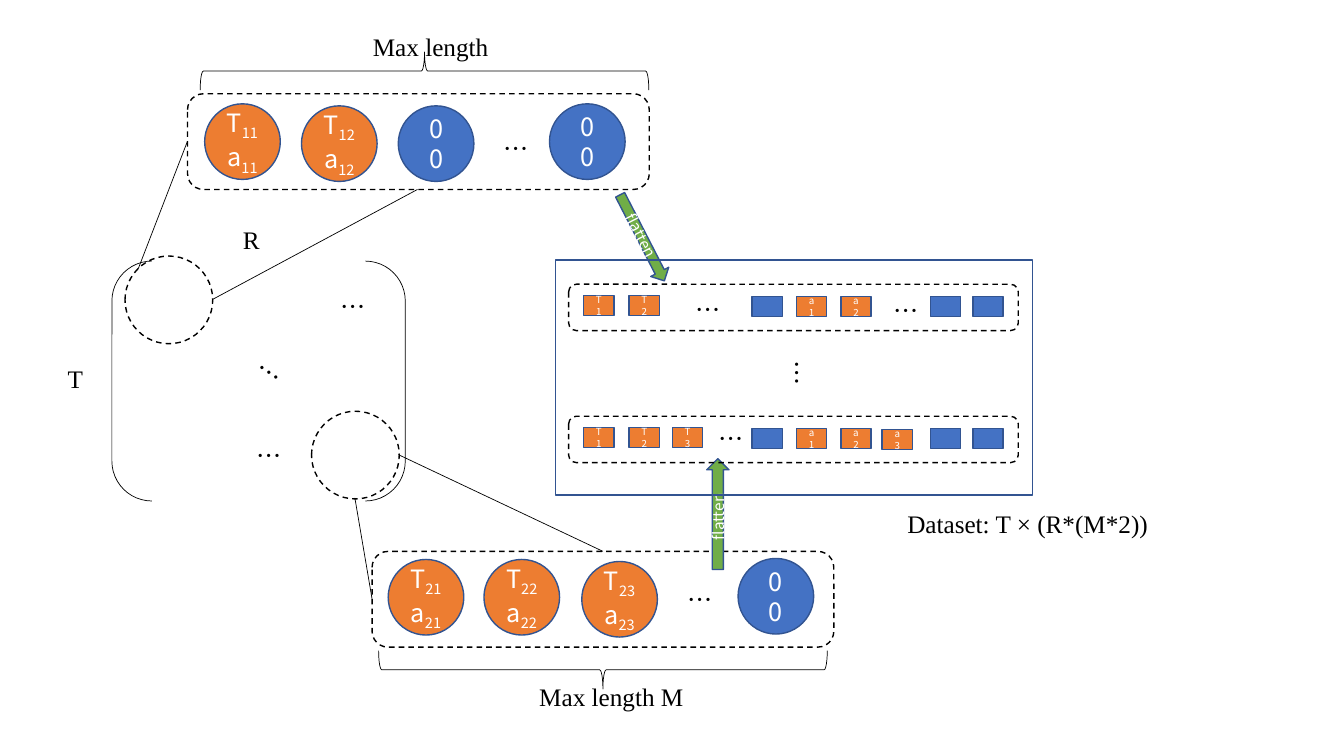
from lxml import etree
from pptx import Presentation
from pptx.dml.color import RGBColor
from pptx.enum.dml import MSO_LINE
from pptx.enum.shapes import MSO_CONNECTOR, MSO_SHAPE
from pptx.enum.text import MSO_ANCHOR, MSO_AUTO_SIZE, PP_ALIGN
from pptx.oxml.ns import qn
from pptx.util import Inches, Pt

OVAL, RECT, ROUNDED = MSO_SHAPE.OVAL, MSO_SHAPE.RECTANGLE, MSO_SHAPE.ROUNDED_RECTANGLE
ARROW, BRACE, BRACKETS = MSO_SHAPE.RIGHT_ARROW, MSO_SHAPE.LEFT_BRACE, MSO_SHAPE.DOUBLE_BRACKET
STRAIGHT, DASH = MSO_CONNECTOR.STRAIGHT, MSO_LINE.DASH
MIDDLE, CENTER, GROW = MSO_ANCHOR.MIDDLE, PP_ALIGN.CENTER, MSO_AUTO_SIZE.SHAPE_TO_FIT_TEXT
SERIF, SANS = "Times New Roman", "Noto Sans CJK SC"
ORANGE, BLUE, GREEN = "ED7D31", "4472C4", "70AD47"
OUTLINE, BLACK, WHITE = "325491", "000000", "FFFFFF"


def rgb(value):
    """Return a colour from a hex string."""
    return RGBColor.from_string(value)


def style_run(r, size, color, font=SANS):
    """Format one run for Latin and East Asian text."""
    r.font.size = Pt(size)
    r.font.color.rgb = rgb(color)
    r.font.name = font
    etree.SubElement(r.font._element, qn("a:ea")).set("typeface", font)


def add_label(s, text, x, y, w, font=SERIF, rotation=0):
    """Add a one-line text box."""
    sp = s.shapes.add_textbox(Inches(x), Inches(y), Inches(w), Inches(0.4))
    sp.rotation = rotation
    tf = sp.text_frame
    tf.word_wrap = True
    tf.auto_size = GROW
    tf.text = text
    style_run(tf.paragraphs[0].runs[0], 18, BLACK, font)


def add_dots(s, x, y, rotation=0):
    """Add an ellipsis label."""
    add_label(s, "…", x, y, 0.49, SANS, rotation)


def add_outline(s, kind, x, y, w, h, fill=None, line=BLACK, width=1, dash=None, rotation=0):
    """Add a preset shape with a line and an optional fill."""
    sp = s.shapes.add_shape(kind, Inches(x), Inches(y), Inches(w), Inches(h))
    sp.shadow.inherit = False
    sp.rotation = rotation
    if fill:
        sp.fill.solid()
        sp.fill.fore_color.rgb = rgb(fill)
    else:
        sp.fill.background()
    sp.line.color.rgb = rgb(line)
    sp.line.width = Pt(width)
    if dash:
        sp.line.dash_style = dash
    return sp


def add_filled(s, kind, x, y, w, h, fill, size, paragraphs, rotation=0):
    """Add a filled shape with centred white text; odd runs are subscripts."""
    sp = add_outline(s, kind, x, y, w, h, fill, OUTLINE, rotation=rotation)
    tf = sp.text_frame
    tf.vertical_anchor = MIDDLE
    for i, parts in enumerate(paragraphs):
        p = tf.add_paragraph() if i else tf.paragraphs[0]
        p.alignment = CENTER
        for j, part in enumerate(parts):
            r = p.add_run()
            r.text = part
            style_run(r, size, WHITE)
            if j % 2:
                r.font._element.set("baseline", "-25000")


def add_event(s, x, y, index=None):
    """Add a circle holding an indexed pair, or zero padding."""
    if index:
        add_filled(s, OVAL, x, y, 0.75, 0.75, ORANGE, 18, [["Τ", index + " ", "a", index]])
    else:
        add_filled(s, OVAL, x, y, 0.75, 0.75, BLUE, 18, [["0"], ["0"]])


def add_sequence(s, x, y, events, dots):
    """Add a dashed frame with its circles and ellipsis."""
    for event in events:
        add_event(s, *event)
    add_dots(s, *dots)
    add_outline(s, ROUNDED, x, y, 4.58, 0.95, dash=DASH)


def add_row(s, y, cells, dots):
    """Add a dashed dataset row with its cells and ellipses."""
    add_outline(s, ROUNDED, 5.64, y, 4.46, 0.46, dash=DASH)
    for text, x, dy in cells:
        fill = ORANGE if text else BLUE
        add_filled(s, RECT, x, y + dy, 0.3, 0.2, fill, 7, [[text]] if text else [])
    for x, dy in dots:
        add_dots(s, x, y + dy)


def add_line(s, x1, y1, x2, y2):
    """Add a thin straight line."""
    c = s.shapes.add_connector(STRAIGHT, Inches(x1), Inches(y1), Inches(x2), Inches(y2))
    c.line.color.rgb = rgb(BLACK)
    c.line.width = Pt(0.5)
    etree.SubElement(c._element.spPr, qn("a:effectLst"))


def add_matrix(s):
    """Add the bracketed T by R matrix."""
    add_label(s, "T", 0.67, 3.56, 0.05)
    add_label(s, "R", 2.31, 2.18, 0.5)
    add_outline(s, BRACKETS, 1.11, 2.59, 2.91, 2.38, width=0.5)
    add_dots(s, 2.45, 4.32)
    add_dots(s, 2.45, 3.51, 34.6)
    add_dots(s, 3.28, 2.84)
    for x, y in ((3.09, 4.08), (1.24, 2.54)):
        add_outline(s, OVAL, x, y, 0.87, 0.87, dash=DASH)


def add_sequences(s):
    """Add both padded sequences with braces and zoom lines."""
    add_sequence(s, 1.86, 0.93, [(2.03, 1.03, "11"), (2.99, 1.05, "12"),
                                 (3.95, 1.05), (5.45, 1.03)], (4.9, 1.27))
    add_sequence(s, 3.69, 5.47, [(3.85, 5.55, "21"), (4.8, 5.55, "22"),
                                 (5.77, 5.57, "23"), (7.32, 5.54)], (6.72, 5.75))
    add_label(s, "Max length", 3.6, 0.26, 1.64)
    add_label(s, "Max length M", 5.25, 6.71, 1.64)
    for x, y, rotation in ((4.02, -1.52, 90), (5.79, 4.42, 270)):
        add_outline(s, BRACE, x, y, 0.38, 4.45, width=0.5, rotation=rotation)
    for ends in ((3.52, 4.94, 3.69, 5.94), (3.95, 4.51, 5.98, 5.47),
                 (1.37, 2.67, 1.86, 1.4), (2.11, 2.97, 4.14, 1.88)):
        add_line(s, *ends)


def add_dataset(s):
    """Add the flattened dataset and the arrows into it."""
    add_filled(s, ARROW, 6.57, 4.99, 1.1, 0.22, GREEN, 11, [["flatten"]], 270)
    add_filled(s, ARROW, 5.89, 2.26, 0.96, 0.2, GREEN, 11, [["flatten"]], 62.8)
    cells = [("T1", 5.79, 0.11), ("T2", 6.24, 0.11), ("", 7.46, 0.12), ("a1", 7.9, 0.12),
             ("a2", 8.34, 0.12), ("", 9.23, 0.12), ("", 9.65, 0.12)]
    add_row(s, 4.13, cells + [("T3", 6.67, 0.11), ("a3", 8.75, 0.13)], [(7.03, 0.02)])
    add_row(s, 2.82, cells, [(6.8, 0.05), (8.76, 0.06)])
    add_outline(s, RECT, 5.51, 2.58, 4.73, 2.33, line=OUTLINE)
    add_dots(s, 7.66, 3.52, 90)
    add_label(s, "Dataset: T × (R*(M*2))", 8.9, 4.99, 3.61)


def main():
    """Build and save the slide."""
    prs = Presentation()
    prs.slide_width, prs.slide_height = Inches(13.33), Inches(7.5)
    s = prs.slides.add_slide(prs.slide_layouts[6])
    add_matrix(s)
    add_sequences(s)
    add_dataset(s)
    prs.save("out.pptx")


if __name__ == "__main__":
    main()
